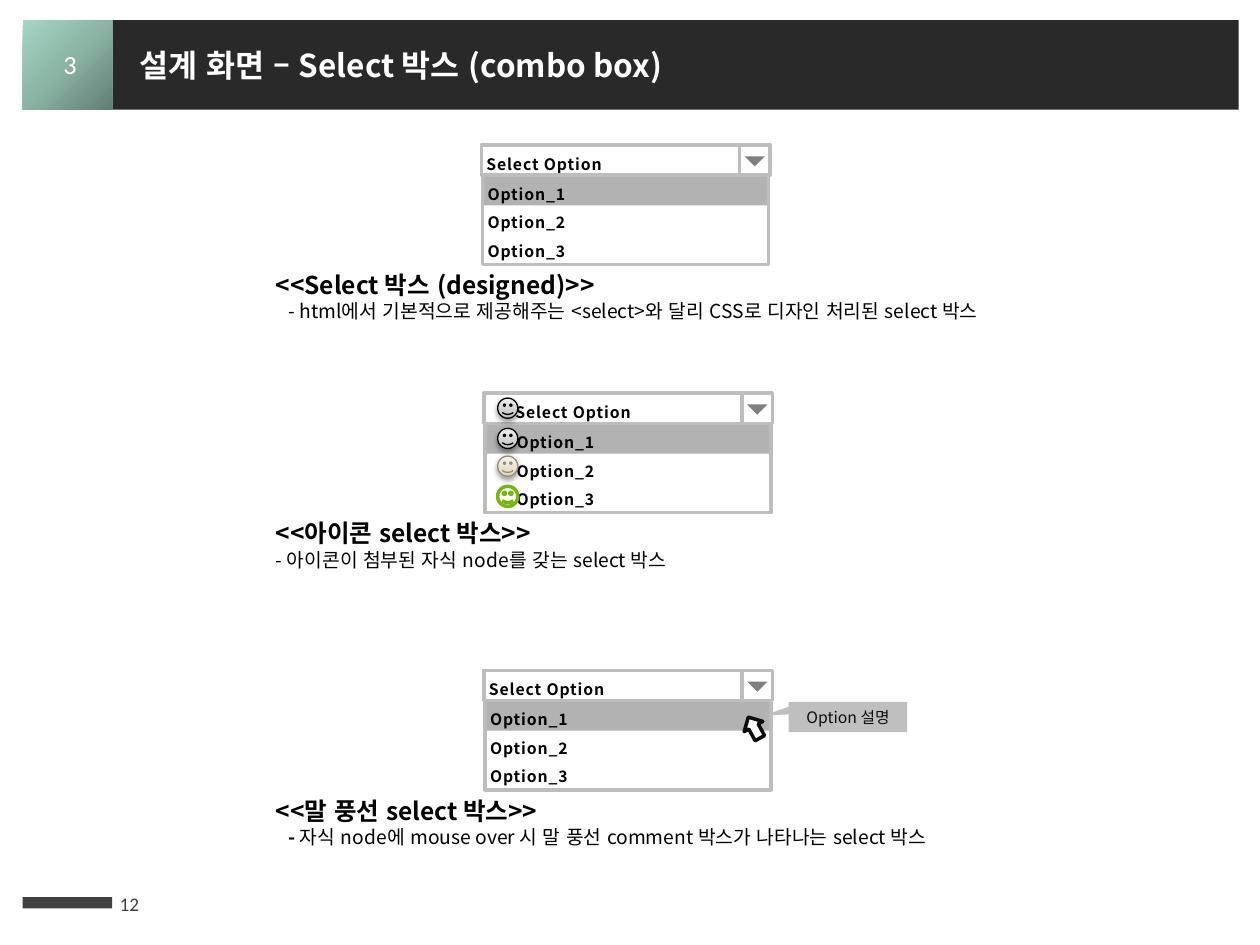
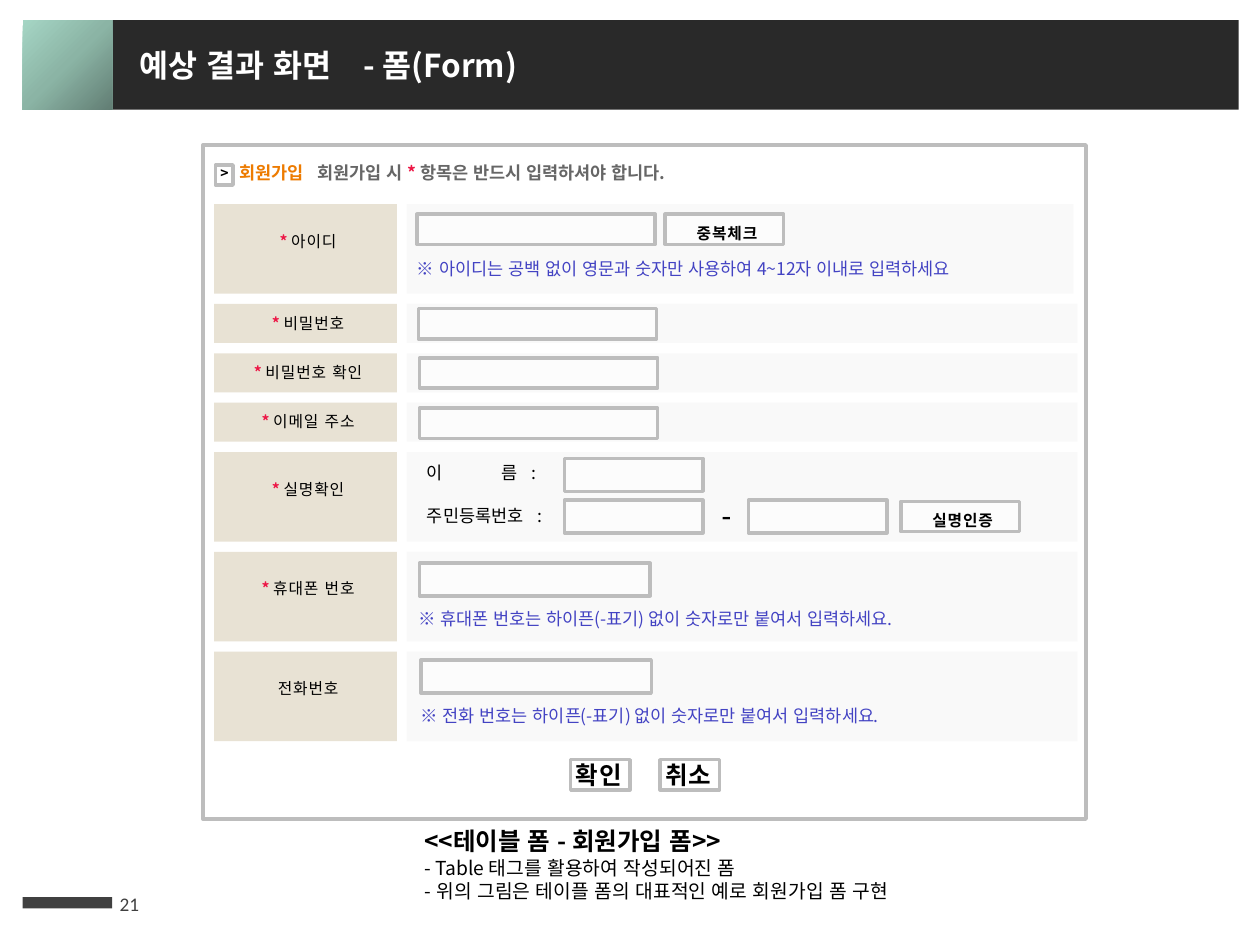
"""Builds two screen-design slides: select boxes and a sign-up form."""
from dataclasses import dataclass
from typing import Optional

from lxml.etree import SubElement
from pptx import Presentation
from pptx.dml.color import RGBColor
from pptx.enum.lang import MSO_LANGUAGE_ID
from pptx.enum.shapes import MSO_SHAPE
from pptx.enum.text import MSO_ANCHOR, PP_ALIGN
from pptx.oxml.ns import qn
from pptx.util import Inches, Pt

COLUMNS, ROWS = 100, 75


@dataclass(frozen=True)
class Theme:
    """Colours, fonts and type sizes of the deck."""
    korean: str = "Noto Sans CJK KR"
    latin: str = "Calibri"
    white: str = "FFFFFF"
    black: str = "000000"
    ink: str = "0D0D0D"
    band: str = "292929"
    dark: str = "404040"
    border: str = "BDBDBD"
    callout: str = "BFBFBF"
    arrow: str = "7F7F7F"
    label: str = "E8E2D4"
    row: str = "F6F6F6"
    hint: str = "4343C3"
    required: str = "ED1746"
    accent: str = "ED7B00"
    muted: str = "666666"
    green: str = "78B414"
    brown: str = "988E74"
    corner: tuple = ((0, "627E74"), (50, "8BB4A5"), (100, "A5D5C4"))
    gray_face: tuple = ((0, "BDBDBD"), (35, "D1D1D1"), (100, "EEEEEE"))
    beige_face: tuple = ((0, "DFD5C0"), (35, "E8E1D3"), (100, "F6F4EE"))
    title: float = 18
    section: float = 15
    heading: float = 14
    body: float = 11
    note: float = 10
    control: float = 9
    small: float = 8


THEME = Theme()


@dataclass(frozen=True)
class Area:
    """A rectangle in grid columns and rows."""
    left: float
    top: float
    width: float
    height: float


@dataclass(frozen=True)
class Span:
    """One run of text and its look."""
    text: str
    size: float = THEME.control
    color: str = THEME.black
    bold: bool = False
    spacing: float = 0
    font: str = THEME.korean


@dataclass(frozen=True)
class Para:
    """One paragraph, with its indent in inches."""
    spans: tuple
    align: PP_ALIGN = PP_ALIGN.LEFT
    line: float = 1
    indent: float = 0
    bullet: str = ""


@dataclass(frozen=True)
class SelectBox:
    """A drop-down list with its caption."""
    left: float
    top: float
    heading: str
    detail: tuple
    detail_indent: float = 0
    text_indent: float = 0


@dataclass(frozen=True)
class FormRow:
    """A labelled row of the form."""
    label: str
    tall: bool = False
    required: bool = True
    width: float = 53.2


def place(area: Area) -> tuple:
    """Turn grid units into slide lengths."""
    return (Inches(area.left * 10 / COLUMNS), Inches(area.top * 7.5 / ROWS),
            Inches(area.width * 10 / COLUMNS), Inches(area.height * 7.5 / ROWS))


def write(box, paras, margins=(0.1, 0.05, 0.1, 0.05), anchor=MSO_ANCHOR.TOP) -> None:
    """Fill a box with paragraphs, run by run."""
    frame = box.text_frame
    frame.word_wrap, frame.vertical_anchor = True, anchor
    (frame.margin_left, frame.margin_top,
     frame.margin_right, frame.margin_bottom) = map(Inches, margins)
    for index, item in enumerate(paras):
        para = frame.add_paragraph() if index else frame.paragraphs[0]
        para.alignment, para.line_spacing = item.align, item.line
        properties = para._p.get_or_add_pPr()
        properties.set("marL", str(Inches(item.indent)))
        properties.set("indent", "0")
        if item.bullet:
            SubElement(properties, qn("a:buFont"), typeface=THEME.korean)
            SubElement(properties, qn("a:buChar"), char=item.bullet)
        for span in item.spans:
            run = para.add_run()
            run.text = span.text
            font = run.font
            font.size, font.bold, font.name = Pt(span.size), span.bold, span.font
            font.language_id = MSO_LANGUAGE_ID.KOREAN
            font.color.rgb = RGBColor.from_string(span.color)
            look = run._r.get_or_add_rPr()
            SubElement(look, qn("a:ea"), typeface=span.font)
            if span.spacing:
                look.set("spc", str(int(span.spacing * 100)))


def text(page, area: Area, *paras: Para, anchor=MSO_ANCHOR.TOP) -> None:
    """Add a plain text box."""
    write(page.shapes.add_textbox(*place(area)), paras, anchor=anchor)


def shape(page, area: Area, fill: str, kind=MSO_SHAPE.RECTANGLE,
          line: Optional[str] = None, weight: float = 2, opacity: int = 100):
    """Add a preset shape with a flat fill."""
    box = page.shapes.add_shape(kind, *place(area))
    box.shadow.inherit = False
    box.fill.solid()
    box.fill.fore_color.rgb = RGBColor.from_string(fill)
    if opacity < 100:
        color = box._element.spPr.find(qn("a:solidFill"))[0]
        SubElement(color, qn("a:alpha"), val=str(opacity * 1000))
    if line:
        box.line.color.rgb = RGBColor.from_string(line)
        box.line.width = Pt(weight)
    else:
        box.line.fill.background()
    return box


def shade(box, stops: tuple, radial: bool = False) -> None:
    """Swap a flat fill for a gradient."""
    flat = box._element.spPr.find(qn("a:solidFill"))
    gradient = flat.makeelement(qn("a:gradFill"), {"rotWithShape": "1"})
    listing = SubElement(gradient, qn("a:gsLst"))
    for position, color in stops:
        stop = SubElement(listing, qn("a:gs"), pos=str(position * 1000))
        SubElement(stop, qn("a:srgbClr"), val=color)
    if radial:
        way = SubElement(gradient, qn("a:path"), path="circle")
        SubElement(way, qn("a:fillToRect"), l="100000", t="100000")
    else:
        SubElement(gradient, qn("a:lin"), ang="16200000", scaled="1")
    flat.getparent().replace(flat, gradient)


def control(page, area: Area, *paras: Para) -> None:
    """Add a bordered, half-clear control."""
    box = shape(page, area, THEME.white, line=THEME.border, opacity=60)
    if paras:
        write(box, paras, (0.04, 0, 0, 0))


def control_para(words: str, align=PP_ALIGN.LEFT, indent: float = 0) -> Para:
    """Make a bold line of control text."""
    return Para((Span(words, bold=True, spacing=0.5),), align, 1.5, indent)


def heading(words: str) -> Para:
    """Make a caption heading."""
    return Para((Span(words, THEME.heading, bold=True),))


def start_page(deck, number: str, *titles: tuple):
    """Add a slide with bands, page number and title pieces by column."""
    page = deck.slides.add_slide(deck.slide_layouts[6])
    shape(page, Area(8.9, 1.6, 89.4, 7.1), THEME.band)
    shade(shape(page, Area(1.8, 1.6, 7.1, 7.1), THEME.white), THEME.corner, radial=True)
    shape(page, Area(1.8, 71.2, 7.1, 0.9), THEME.dark)
    text(page, Area(8.5, 69.7, 5.9, 4),
         Para((Span(number, THEME.body, THEME.dark, font=THEME.latin),)), anchor=MSO_ANCHOR.MIDDLE)
    for left, words in titles:
        text(page, Area(left, 3.2, 80 - left, 4),
             Para((Span(words, THEME.title, THEME.white, True),)))
    return page


def draw_select(page, item: SelectBox) -> None:
    """Draw a drop-down list and its caption."""
    left, top, below = item.left, item.top, item.top + 2.4
    shape(page, Area(left, below, 22.8, 2.4), THEME.dark)
    control(page, Area(left + 20.5, top, 2.4, 2.4))
    control(page, Area(left, top, 20.5, 2.4), control_para("Select Option", indent=item.text_indent))
    shape(page, Area(left + 20.9, top + 0.9, 1.6, 0.8), THEME.arrow,
          MSO_SHAPE.ISOSCELES_TRIANGLE).rotation = 180
    control(page, Area(left + 0.1, below, 22.7, 7.1),
            *(control_para(f"Option_{n}", indent=item.text_indent) for n in (1, 2, 3)))
    text(page, Area(20.9, top + 9.45, 63.8, 5.2), heading(item.heading),
         Para(item.detail, indent=item.detail_indent))


def draw_face(page, top: float, line: str, stops: tuple = ()) -> None:
    """Draw a smiley icon, raised when shaded."""
    face = shape(page, Area(39.5, top, 1.6, 1.6), THEME.white, MSO_SHAPE.SMILEY_FACE,
                 line, 0.75 if stops else 2)
    if stops:
        shade(face, stops)
        effects = face._element.spPr.find(qn("a:effectLst"))
        shadow = SubElement(effects, qn("a:outerShdw"), blurRad=str(Pt(3.1)), dist=str(Pt(1.6)),
                            dir="5400000", rotWithShape="0")
        color = SubElement(shadow, qn("a:srgbClr"), val=THEME.black)
        SubElement(color, qn("a:alpha"), val="38000")


def draw_row(page, top: float, row: FormRow) -> float:
    """Draw a form row and return the top of the next."""
    height = 7.1 if row.tall else 3.1
    label = shape(page, Area(17, top, 14.5, height), THEME.label)
    mark = (Span("* ", color=THEME.required, bold=True),) if row.required else ()
    write(label, [Para(mark + (Span(row.label, spacing=0.5),), PP_ALIGN.CENTER, 1.5)],
          (0.04, 0.14 if row.tall else 0, 0, 0))
    shape(page, Area(32.3, top, row.width, height), THEME.row, opacity=60)
    return top + height + 0.82


def build_select_page(deck) -> None:
    """Build the slide of select boxes."""
    page = start_page(deck, "12", (10.1, "설계 화면 – Select 박스 (combo box)"))
    text(page, Area(2.8, 3.3, 5.5, 3.5),
         Para((Span("3", THEME.section, THEME.white, font=THEME.latin),), PP_ALIGN.CENTER))
    size = THEME.body
    for item in (
        SelectBox(38.2, 11.5, "<<Select 박스 (designed)>>",
                  (Span("- html에서 기본적으로 제공해주는 <select>와 달리 CSS로 디자인 처리된 select 박스", size),), 0.1),
        SelectBox(38.4, 31.2, "<<아이콘 select 박스>>",
                  (Span("- 아이콘이 첨부된 자식 node를 갖는 select 박스", size),), text_indent=0.21),
        SelectBox(38.4, 53.2, "<<말 풍선 select 박스>>",
                  (Span("- ", size, bold=True),
                   Span("자식 node에 mouse over 시 말 풍선 comment 박스가 나타나는 select 박스", size)), 0.1),
    ):
        draw_select(page, item)
    draw_face(page, 31.6, THEME.black, THEME.gray_face)
    draw_face(page, 34, THEME.black, THEME.gray_face)
    draw_face(page, 36.2, THEME.brown, THEME.beige_face)
    draw_face(page, 38.6, THEME.green)
    balloon = shape(page, Area(62.6, 55.7, 9.4, 2.4), THEME.callout, MSO_SHAPE.RECTANGULAR_CALLOUT)
    balloon.adjustments[0], balloon.adjustments[1] = -0.71, -0.05
    write(balloon, [Para((Span("Option 설명", color=THEME.ink),), PP_ALIGN.CENTER)],
          anchor=MSO_ANCHOR.MIDDLE)
    shape(page, Area(59, 56.8, 1.7, 1.9), THEME.white, MSO_SHAPE.UP_ARROW, THEME.ink).rotation = 331.2


def build_form_page(deck) -> None:
    """Build the slide of the sign-up form."""
    page = start_page(deck, "21", (10.1, "예상 결과 화면"), (27.9, "- 폼(Form)"))
    control(page, Area(16.1, 11.5, 70.1, 53.5))
    top = 16.2
    for row in (FormRow("아이디", True, width=52.9), FormRow("비밀번호"), FormRow("비밀번호 확인"),
                FormRow("이메일 주소"), FormRow("실명확인", True), FormRow("휴대폰 번호", True),
                FormRow("전화번호", True, False)):
        top = draw_row(page, top, row)
    for field in (Area(33.1, 17, 18.9, 2.4), Area(33.2, 24.5, 18.9, 2.4), Area(33.3, 28.4, 18.9, 2.4),
                  Area(33.3, 32.4, 18.9, 2.4), Area(44.8, 36.4, 11, 2.6), Area(44.8, 39.7, 11, 2.6),
                  Area(59.4, 39.7, 11, 2.6), Area(33.3, 44.7, 18.3, 2.6), Area(33.4, 52.4, 18.3, 2.6)):
        control(page, field)
    for left, upper, words in ((52.8, 17, "중복체크"), (71.5, 39.8, "실명인증")):
        control(page, Area(left, upper, 9.4, 2.4), control_para(words, PP_ALIGN.CENTER))
    for left, upper, words in (
            (32.1, 20, "※ 아이디는 공백 없이 영문과 숫자만 사용하여 4~12자 이내로 입력하세요"),
            (32.2, 47.8, "※ 휴대폰 번호는 하이픈(-표기) 없이 숫자로만 붙여서 입력하세요."),
            (32.4, 55.5, "※ 전화 번호는 하이픈(-표기) 없이 숫자로만 붙여서 입력하세요.")):
        text(page, Area(left, upper, 50.4, 2.7), Para((Span(words, THEME.note, THEME.hint),)))
    for left, upper, width, words in (
            (32.9, 36.2, 4, "이"), (38.8, 36.2, 4, "름"), (41.2, 36.2, 3, ":"),
            (32.9, 39.6, 10.5, "주민등록번호"), (41.7, 39.6, 3, ":")):
        text(page, Area(left, upper, width, 2.7), Para((Span(words, THEME.note),)))
    text(page, Area(56.3, 38.9, 2.4, 4), Para((Span("-", THEME.title, font=THEME.latin),)))
    control(page, Area(17.1, 13.1, 1.4, 1.6), Para((Span(">", THEME.small, bold=True, spacing=0.5),)))
    notice = (("회원가입 시 ", THEME.muted), ("* ", THEME.required),
              ("항목은 반드시 입력하셔야 합니다.", THEME.muted))
    for left, width, pieces in ((18, 8, (("회원가입", THEME.accent),)), (24.2, 60, notice)):
        text(page, Area(left, 12.4, width, 2.7),
             Para(tuple(Span(words, THEME.note, color, True) for words, color in pieces)))
    for left, words in ((45.3, "확인"), (52.4, "취소")):
        control(page, Area(left, 60.3, 4.7, 2.4),
                Para((Span(words, THEME.heading, bold=True, spacing=0.5),)))
    details = (" Table 태그를 활용하여 작성되어진 폼", " 위의 그림은 테이플 폼의 대표적인 예로 회원가입 폼 구현")
    text(page, Area(32.7, 65.1, 43.3, 7.2), heading("<<테이블 폼 - 회원가입 폼>>"),
         *(Para((Span(words, THEME.body),), bullet="-") for words in details))


def main() -> None:
    """Build and save the deck."""
    deck = Presentation()
    deck.slide_width, deck.slide_height = Inches(10), Inches(7.5)
    build_select_page(deck)
    build_form_page(deck)
    deck.save("out.pptx")


main()
